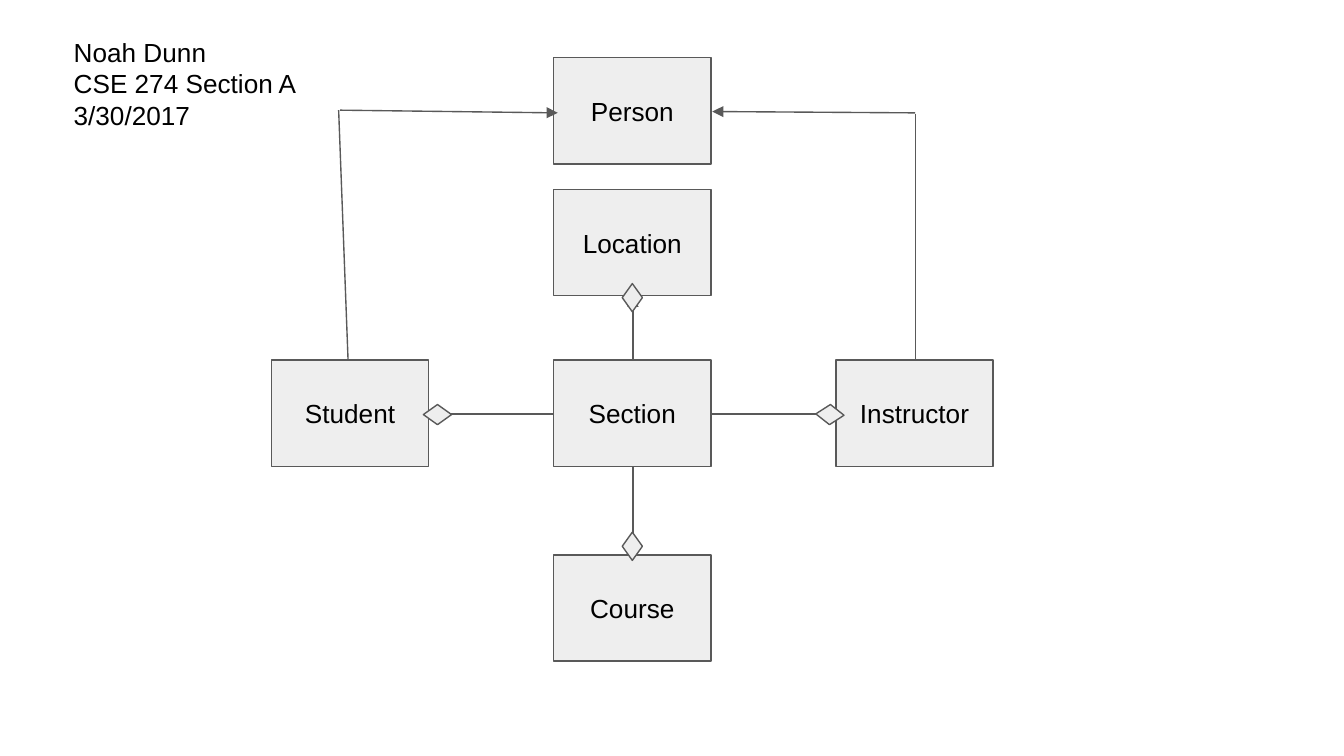
import dataclasses

import pptx
import pptx.dml.color
import pptx.enum.shapes
import pptx.enum.text
import pptx.oxml.ns
import pptx.util
from lxml import etree
from pptx.util import Inches

BOX_FILL = pptx.dml.color.RGBColor(0xEE, 0xEE, 0xEE)
LINE_COLOR = pptx.dml.color.RGBColor(0x59, 0x59, 0x59)
TEXT_COLOR = pptx.dml.color.RGBColor(0x00, 0x00, 0x00)
LINE_WIDTH = pptx.util.Pt(0.75)
SLIDE_WIDTH = Inches(10)
SLIDE_HEIGHT = SLIDE_WIDTH * 9 // 16  # widescreen
BOX_WIDTH, BOX_HEIGHT = 1.17, 0.79
DIAMOND_WIDTH, DIAMOND_HEIGHT = 0.15, 0.21
LEFT, CENTER, RIGHT = 2.02, 4.12, 6.22  # left edges of the columns
MIDDLE = 2.68  # top edge of the middle row
SHAPES = pptx.enum.shapes.MSO_SHAPE


@dataclasses.dataclass
class ClassBox:
    name: str
    left: float
    top: float


@dataclasses.dataclass
class Link:
    start: tuple[float, float]
    end: tuple[float, float]
    arrow: bool = True


@dataclasses.dataclass
class Diamond:
    left: float
    top: float
    rotation: float = 0


BOXES = [
    ClassBox("Student", LEFT, MIDDLE),
    ClassBox("Section", CENTER, MIDDLE),
    ClassBox("Person", CENTER, 0.43),
    ClassBox("Instructor", RIGHT, MIDDLE),
    ClassBox("Course", CENTER, 4.13),
    ClassBox("Location", CENTER, 1.41),
]

INHERITANCE = [
    Link((6.81, 2.68), (6.81, 0.85), arrow=False),
    Link((6.81, 0.84), (5.3, 0.83)),
    Link((2.59, 2.68), (2.52, 0.82), arrow=False),
    Link((2.53, 0.82), (4.15, 0.84)),
]

# Each link from Section ends under its diamond
AGGREGATION = [
    (Link((4.12, 3.08), (3.2, 3.08)), Diamond(3.18, 2.98, 90)),
    (Link((4.71, 3.47), (4.71, 4.13)), Diamond(4.63, 3.96)),
    (Link((4.71, 2.68), (4.71, 2.2)), Diamond(4.63, 2.11)),
    (Link((5.3, 3.08), (6.22, 3.08)), Diamond(6.1, 2.98, 92.7)),
]

HEADING = ["Noah Dunn", "CSE 274 Section A", "3/30/2017"]


def write_lines(shape, lines: list[str], alignment) -> None:
    frame = shape.text_frame
    frame.word_wrap = True
    frame.margin_left = frame.margin_right = Inches(0.1)
    frame.margin_top = frame.margin_bottom = Inches(0.1)
    for index, line in enumerate(lines):
        paragraph = frame.add_paragraph() if index else frame.paragraphs[0]
        paragraph.alignment = alignment
        run = paragraph.add_run()
        run.text = line
        run.font.name = "Arial"
        run.font.size = pptx.util.Pt(14)
        run.font.color.rgb = TEXT_COLOR


def style_line(line) -> None:
    line.color.rgb = LINE_COLOR
    line.width = LINE_WIDTH


def add_outlined(slide, kind, left: float, top: float, width: float, height: float):
    shape = slide.shapes.add_shape(
        kind, Inches(left), Inches(top), Inches(width), Inches(height))
    shape.shadow.inherit = False
    shape.fill.solid()
    shape.fill.fore_color.rgb = BOX_FILL
    style_line(shape.line)
    return shape


def add_box(slide, box: ClassBox) -> None:
    shape = add_outlined(
        slide, SHAPES.RECTANGLE, box.left, box.top, BOX_WIDTH, BOX_HEIGHT)
    write_lines(shape, [box.name], pptx.enum.text.PP_ALIGN.CENTER)
    shape.text_frame.vertical_anchor = pptx.enum.text.MSO_ANCHOR.MIDDLE


def add_diamond(slide, diamond: Diamond) -> None:
    shape = add_outlined(slide, SHAPES.DIAMOND, diamond.left, diamond.top,
                         DIAMOND_WIDTH, DIAMOND_HEIGHT)
    shape.rotation = diamond.rotation


def add_link(slide, link: Link) -> None:
    connector = slide.shapes.add_connector(
        pptx.enum.shapes.MSO_CONNECTOR.STRAIGHT,
        *(Inches(value) for value in link.start + link.end))
    style_line(connector.line)
    properties = connector._element.spPr
    if link.arrow:
        outline = properties.find(pptx.oxml.ns.qn("a:ln"))
        etree.SubElement(outline, pptx.oxml.ns.qn("a:tailEnd"), type="triangle")
    etree.SubElement(properties, pptx.oxml.ns.qn("a:effectLst"))


def main() -> None:
    presentation = pptx.Presentation()
    presentation.slide_width = SLIDE_WIDTH
    presentation.slide_height = SLIDE_HEIGHT
    slide = presentation.slides.add_slide(presentation.slide_layouts[6])

    # Class boxes
    for box in BOXES:
        add_box(slide, box)

    # Inheritance arrows to Person
    for link in INHERITANCE:
        add_link(slide, link)

    # Aggregation links from Section
    for link, diamond in AGGREGATION:
        add_link(slide, link)
        add_diamond(slide, diamond)

    # Heading
    heading = slide.shapes.add_textbox(
        Inches(0.45), Inches(0.17), Inches(1.93), Inches(0.79))
    write_lines(heading, HEADING, pptx.enum.text.PP_ALIGN.LEFT)

    presentation.save("out.pptx")


if __name__ == "__main__":
    main()
